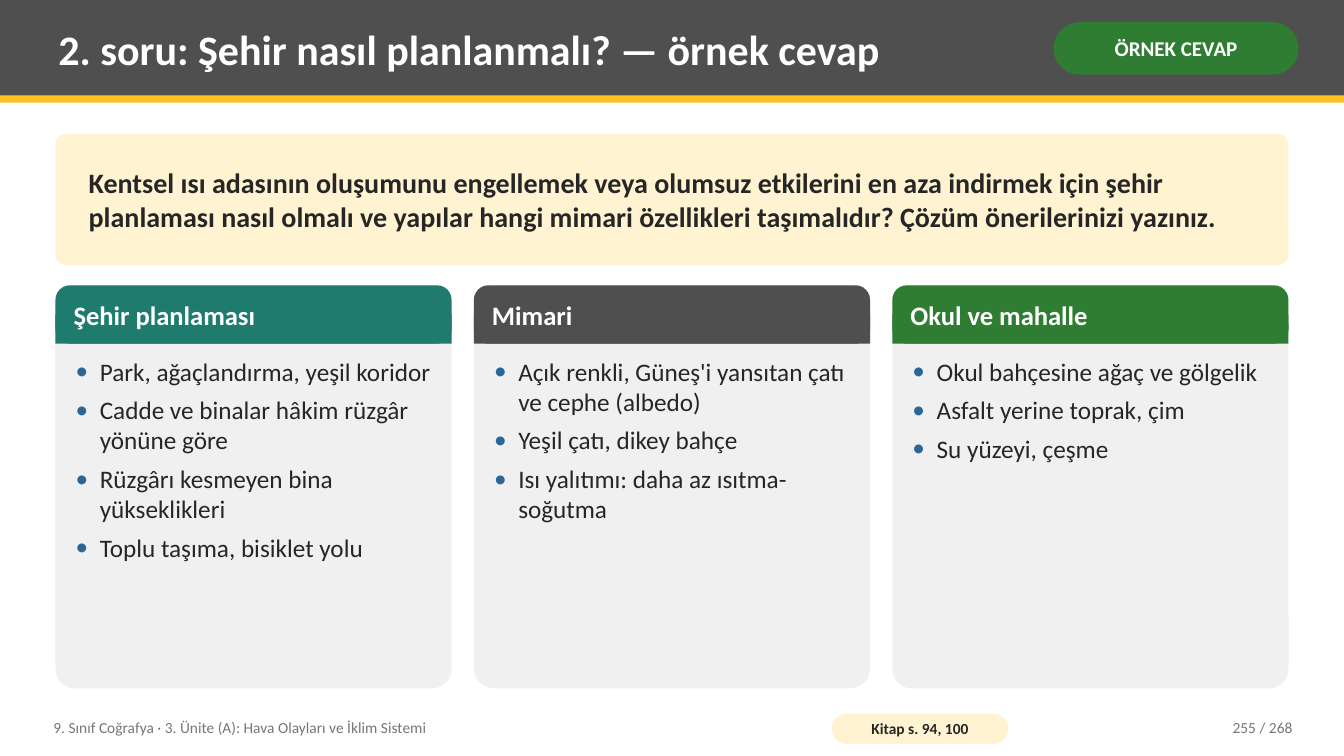
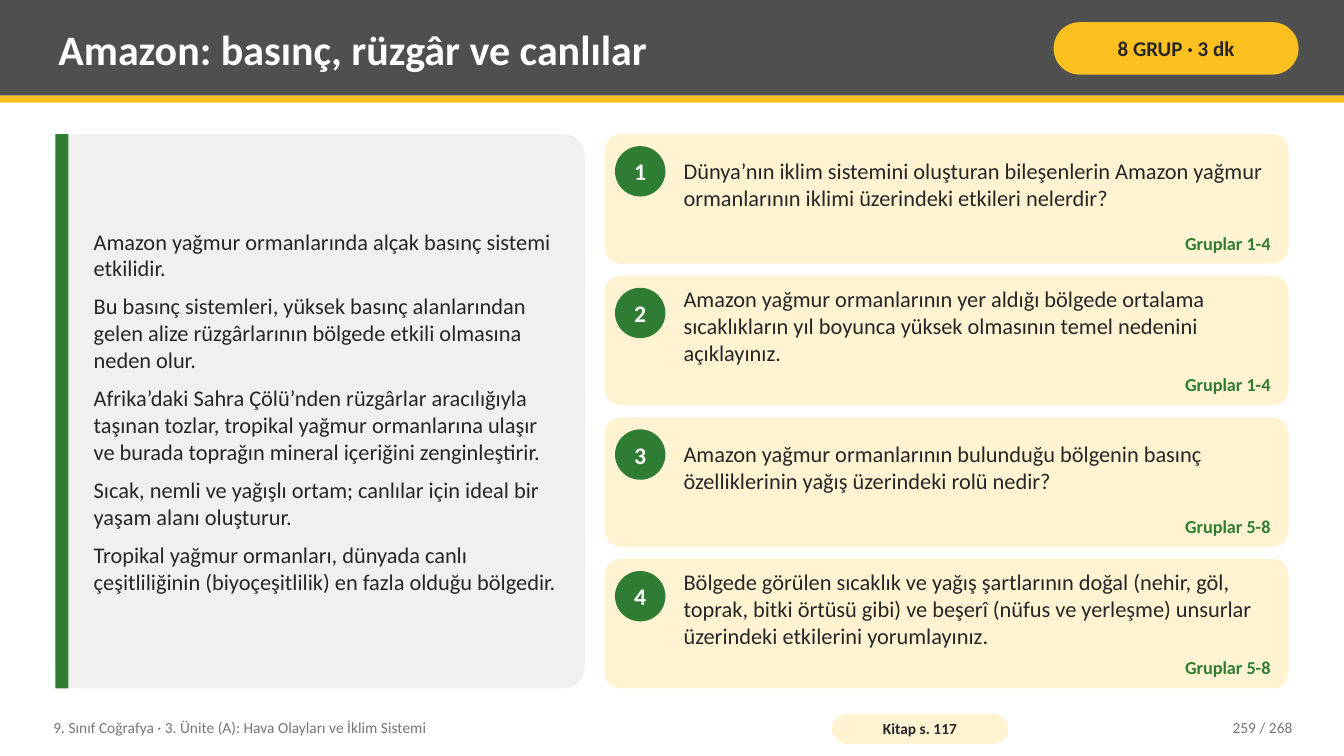
from dataclasses import dataclass

from lxml.etree import SubElement
from pptx import Presentation
from pptx.dml.color import RGBColor
from pptx.enum.shapes import MSO_SHAPE
from pptx.enum.text import MSO_ANCHOR, PP_ALIGN
from pptx.oxml.ns import qn
from pptx.util import Inches, Pt


@dataclass(frozen=True)
class Theme:
    font: str = "Calibri"
    # Colours
    slate: str = "4F4F4F"
    amber: str = "FCC021"
    cream: str = "FFF3D1"
    panel: str = "F0F0F0"
    green: str = "2E7D32"
    teal: str = "1E7B6E"
    blue: str = "2C6696"
    ink: str = "262626"
    muted: str = "767676"
    white: str = "FFFFFF"
    # Type sizes
    title: int = 30
    question: int = 20
    heading: int = 19
    bullet: int = 18
    number: int = 17
    body: int = 16
    badge: int = 15
    groups: int = 13
    footer: int = 11


@dataclass(frozen=True)
class Area:
    """A rectangle in inches that can be divided into grid rows and columns."""
    x: float
    y: float
    w: float
    h: float

    def columns(self, shares, gap):
        unit = (self.w - gap * (len(shares) - 1)) / sum(shares)
        return [Area(self.x + sum(shares[:i]) * unit + i * gap, self.y, share * unit, self.h)
                for i, share in enumerate(shares)]

    def rows(self, shares, gap):
        unit = (self.h - gap * (len(shares) - 1)) / sum(shares)
        return [Area(self.x, self.y + sum(shares[:i]) * unit + i * gap, self.w, share * unit)
                for i, share in enumerate(shares)]

    def inset(self, left, top, right, bottom):
        return Area(self.x + left, self.y + top, self.w - left - right, self.h - top - bottom)

    def emu(self):
        return [Inches(v) for v in (self.x, self.y, self.w, self.h)]


PAGE = Area(0, 0, 13.33, 7.5)
CONTENT = PAGE.inset(0.55, 1.33, 0.55, 0.67)
TEXT_PAD = (0.08, 0.04)
COURSE = "9. Sınıf Coğrafya · 3. Ünite (A): Hava Olayları ve İklim Sistemi"
PAGE_COUNT = 268


class Deck:
    def __init__(self, theme):
        self.theme = theme
        self.prs = Presentation()
        self.prs.slide_width, self.prs.slide_height = Inches(PAGE.w), Inches(PAGE.h)
        self.slide = None

    # Basic elements
    def block(self, area, fill, kind=MSO_SHAPE.RECTANGLE, corner=None):
        block = self.slide.shapes.add_shape(kind, *area.emu())
        if corner is not None:
            block.adjustments[0] = corner
        block.shadow.inherit = False
        block.fill.solid()
        block.fill.fore_color.rgb = RGBColor.from_string(fill)
        block.line.fill.background()
        return block

    def rounded(self, area, fill, corner):
        return self.block(area, fill, MSO_SHAPE.ROUNDED_RECTANGLE, corner)

    def fill_text(self, holder, paragraphs, size, color, bold=False, align=PP_ALIGN.LEFT,
                  anchor=MSO_ANCHOR.MIDDLE, pad=TEXT_PAD, after=0, bulleted=False):
        frame = holder.text_frame
        frame.word_wrap = True
        frame.vertical_anchor = anchor
        frame.margin_left = frame.margin_right = Inches(pad[0])
        frame.margin_top = frame.margin_bottom = Inches(pad[1])
        for i, text in enumerate(paragraphs):
            paragraph = frame.add_paragraph() if i else frame.paragraphs[0]
            if bulleted:
                self.bullet(paragraph)
            paragraph.alignment = align
            if i < len(paragraphs) - 1:
                paragraph.space_after = Pt(after)
            run = paragraph.add_run()
            run.text = text
            run.font.name, run.font.size, run.font.bold = self.theme.font, Pt(size), bold
            run.font.color.rgb = RGBColor.from_string(color)

    def bullet(self, paragraph):
        props = paragraph._p.get_or_add_pPr()
        hang = Inches(0.24)
        props.set("marL", str(hang))
        props.set("indent", str(-hang))
        SubElement(SubElement(props, qn("a:buClr")), qn("a:srgbClr"), val=self.theme.blue)
        SubElement(props, qn("a:buFont"), typeface=self.theme.font)
        SubElement(props, qn("a:buChar"), char="•")

    def text(self, area, paragraphs, size, color, **style):
        self.fill_text(self.slide.shapes.add_textbox(*area.emu()), paragraphs, size, color,
                       **style)

    def pill(self, area, label, size, fill, color, pad):
        self.fill_text(self.rounded(area, fill, 0.5), [label], size, color, bold=True,
                       align=PP_ALIGN.CENTER, pad=pad)

    # Shared frame: header band, badge and footer
    def new_slide(self, title, badge, badge_fill, badge_color, book_pages, number):
        t = self.theme
        self.slide = self.prs.slides.add_slide(self.prs.slide_layouts[6])
        self.block(Area(0, 0, PAGE.w, 0.95), t.slate)
        self.block(Area(0, 0.95, PAGE.w, 0.07), t.amber)
        self.text(Area(0.5, 0.07, 9.75, 0.82), [title], t.title, t.white, bold=True)
        self.pill(Area(10.45, 0.22, 2.43, 0.52), badge, t.badge, badge_fill, badge_color,
                  (0.05, 0.02))
        self.text(Area(0.45, 7.04, 7.6, 0.36), [COURSE], t.footer, t.muted)
        self.pill(Area(8.25, 7.08, 1.75, 0.3), book_pages, t.footer, t.cream, t.ink, (0.04, 0))
        self.text(Area(11.3, 7.04, 1.6, 0.36), [f"{number} / {PAGE_COUNT}"], t.footer, t.muted,
                  align=PP_ALIGN.RIGHT)

    # Content elements
    def question_banner(self, area, question):
        self.fill_text(self.rounded(area, self.theme.cream, 0.08), [question],
                       self.theme.question, self.theme.ink, bold=True, pad=(0.3, 0.08))

    def answer_card(self, area, heading, color, answers):
        t = self.theme
        head = Area(area.x, area.y, area.w, 0.58)
        self.rounded(area, t.panel, 0.05)
        self.rounded(head, color, 0.25)
        self.block(head.rows([1, 1], 0)[1], color)
        self.text(head.inset(0.1, 0, 0.1, 0), [heading], t.heading, t.white, bold=True)
        self.text(area.inset(0.12, 0.66, 0.12, 0.08), answers, t.bullet, t.ink,
                  anchor=MSO_ANCHOR.TOP, after=6, bulleted=True)

    def reading_panel(self, area, paragraphs):
        t = self.theme
        self.rounded(area, t.panel, 0.04)
        self.block(Area(area.x, area.y, 0.13, area.h), t.green)
        self.text(area.inset(0.3, 0.05, 0.15, 0.05), paragraphs, t.body, t.ink, after=8)

    def task_card(self, area, number, question, groups):
        t = self.theme
        self.rounded(area, t.cream, 0.12)
        disc = self.block(Area(area.x + 0.1, area.y + 0.12, 0.5, 0.5), t.green, MSO_SHAPE.OVAL)
        self.fill_text(disc, [str(number)], t.number, t.white, bold=True,
                       align=PP_ALIGN.CENTER, pad=(0, 0))
        disc.text_frame.word_wrap = False
        self.text(area.inset(0.7, 0.04, 0.1, 0.34), [question], t.body, t.ink)
        self.text(area.inset(0.7, 0.93, 0.1, 0.03), [groups], t.groups, t.green, bold=True,
                  align=PP_ALIGN.RIGHT, anchor=MSO_ANCHOR.TOP)


def city_planning(deck):
    t = deck.theme
    deck.new_slide("2. soru: Şehir nasıl planlanmalı? — örnek cevap", "ÖRNEK CEVAP",
                   t.green, t.white, "Kitap s. 94, 100", 255)
    banner, answers = CONTENT.rows([1.3, 4], 0.2)
    deck.question_banner(
        banner,
        "Kentsel ısı adasının oluşumunu engellemek veya olumsuz etkilerini en aza indirmek için "
        "şehir planlaması nasıl olmalı ve yapılar hangi mimari özellikleri taşımalıdır? "
        "Çözüm önerilerinizi yazınız.")
    cards = [
        ("Şehir planlaması", t.teal, [
            "Park, ağaçlandırma, yeşil koridor",
            "Cadde ve binalar hâkim rüzgâr yönüne göre",
            "Rüzgârı kesmeyen bina yükseklikleri",
            "Toplu taşıma, bisiklet yolu"]),
        ("Mimari", t.slate, [
            "Açık renkli, Güneş'i yansıtan çatı ve cephe (albedo)",
            "Yeşil çatı, dikey bahçe",
            "Isı yalıtımı: daha az ısıtma-soğutma"]),
        ("Okul ve mahalle", t.green, [
            "Okul bahçesine ağaç ve gölgelik",
            "Asfalt yerine toprak, çim",
            "Su yüzeyi, çeşme"]),
    ]
    for area, card in zip(answers.columns([1] * len(cards), 0.22), cards):
        deck.answer_card(area, *card)


def amazon_groups(deck):
    t = deck.theme
    deck.new_slide("Amazon: basınç, rüzgâr ve canlılar", "8 GRUP · 3 dk",
                   t.amber, t.ink, "Kitap s. 117", 259)
    reading, tasks_area = CONTENT.columns([5.25, 6.78], 0.2)
    deck.reading_panel(reading, [
        "Amazon yağmur ormanlarında alçak basınç sistemi etkilidir.",
        "Bu basınç sistemleri, yüksek basınç alanlarından gelen alize rüzgârlarının bölgede "
        "etkili olmasına neden olur.",
        "Afrika’daki Sahra Çölü’nden rüzgârlar aracılığıyla taşınan tozlar, tropikal yağmur "
        "ormanlarına ulaşır ve burada toprağın mineral içeriğini zenginleştirir.",
        "Sıcak, nemli ve yağışlı ortam; canlılar için ideal bir yaşam alanı oluşturur.",
        "Tropikal yağmur ormanları, dünyada canlı çeşitliliğinin (biyoçeşitlilik) en fazla "
        "olduğu bölgedir."])
    tasks = [
        ("Dünya’nın iklim sistemini oluşturan bileşenlerin Amazon yağmur ormanlarının iklimi "
         "üzerindeki etkileri nelerdir?", "Gruplar 1-4"),
        ("Amazon yağmur ormanlarının yer aldığı bölgede ortalama sıcaklıkların yıl boyunca "
         "yüksek olmasının temel nedenini açıklayınız.", "Gruplar 1-4"),
        ("Amazon yağmur ormanlarının bulunduğu bölgenin basınç özelliklerinin yağış üzerindeki "
         "rolü nedir?", "Gruplar 5-8"),
        ("Bölgede görülen sıcaklık ve yağış şartlarının doğal (nehir, göl, toprak, bitki örtüsü "
         "gibi) ve beşerî (nüfus ve yerleşme) unsurlar üzerindeki etkilerini yorumlayınız.",
         "Gruplar 5-8"),
    ]
    task_rows = tasks_area.rows([1] * len(tasks), 0.12)
    for number, (area, task) in enumerate(zip(task_rows, tasks), start=1):
        deck.task_card(area, number, *task)


def main():
    deck = Deck(Theme())
    city_planning(deck)
    amazon_groups(deck)
    deck.prs.save("out.pptx")


if __name__ == "__main__":
    main()
